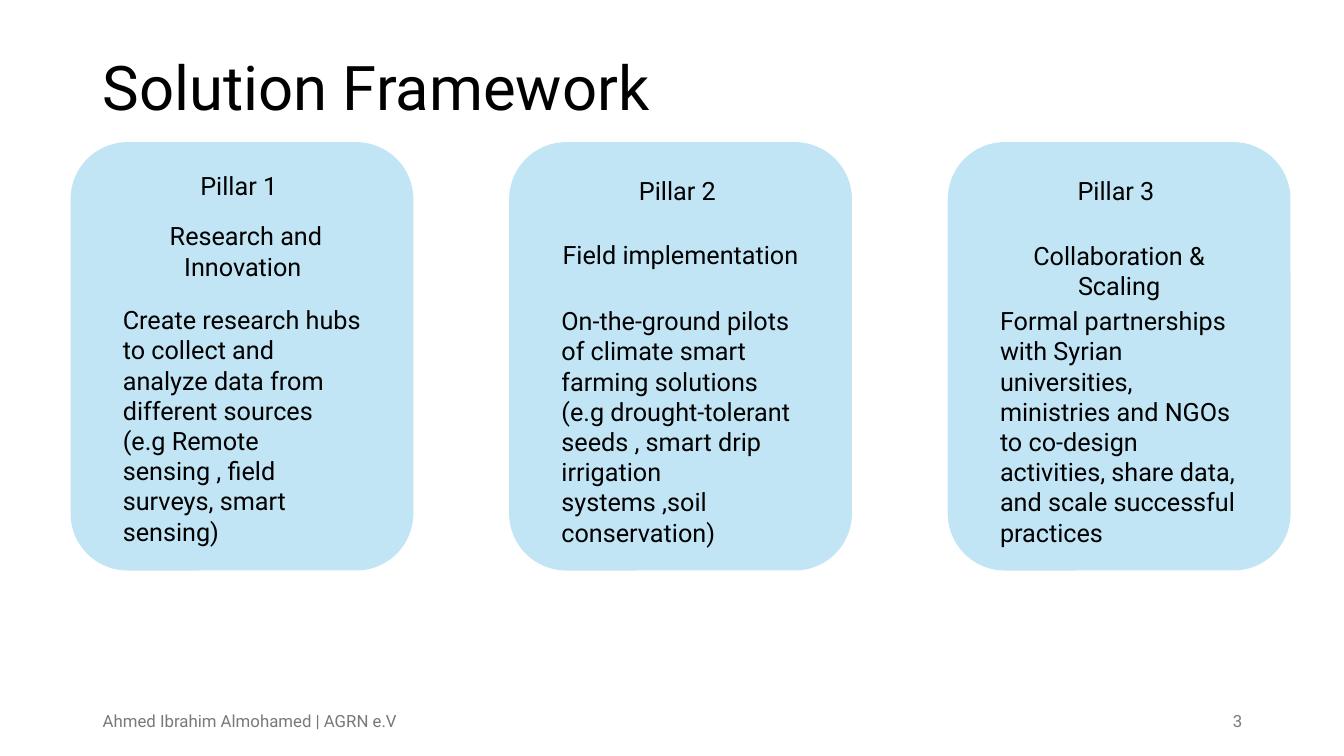
from pptx import Presentation, util as u
from pptx.dml.color import RGBColor
from pptx.enum import shapes, text

# Content: number, heading, description, then the box of each text inside the card
TITLE = "Solution Framework"
FOOTER = "Ahmed Ibrahim Almohamed | AGRN e.V"
PAGE = "3"
PILLARS = [
    {"label": ("Pillar 1 ", (95, 23, 150, 40)),
     "heading": ("Research and Innovation ", (46, 73, 256, 71)),
     "body": ("Create research hubs to collect and analyze data from different "
              "sources (e.g Remote sensing , field surveys, smart sensing)",
              (42, 156, 256, 222))},
    {"label": ("Pillar 2 ", (95, 28, 150, 40)),
     "heading": ("Field implementation", (42, 92, 256, 40)),
     "body": ("On-the-ground pilots of climate smart farming solutions "
              "(e.g drought-tolerant seeds , smart drip irrigation systems "
              ",soil conservation)", (42, 157, 256, 222))},
    {"label": ("Pillar 3 ", (95, 28, 150, 40)),
     "heading": ("Collaboration & Scaling", (42, 92, 256, 71)),
     "body": ("Formal partnerships with Syrian universities, ministries and NGOs "
              "to co-design activities, share data, and scale successful practices",
              (42, 157, 256, 252))},
]
COLORS = {"card": "C1E5F5", "ink": "000000", "muted": "797979"}
FONT = "Roboto"

# Layout, 100 px to the inch
SLIDE_WIDTH, SLIDE_HEIGHT = 1333, 750
CARD_LEFT, CARD_TOP, CARD_WIDTH, CARD_HEIGHT = 70, 141, 340, 425
CARD_STEP = CARD_WIDTH + 95
LEFT, CENTER, RIGHT = text.PP_ALIGN.LEFT, text.PP_ALIGN.CENTER, text.PP_ALIGN.RIGHT
ALIGN = {"label": CENTER, "heading": CENTER, "body": LEFT}


def px(value):
    return u.Emu(value * 9144)


def color(name):
    return RGBColor.from_string(COLORS[name])


def add_text(parent, words, box, size, ink="ink", align=LEFT,
             anchor=text.MSO_ANCHOR.MIDDLE, grow=False, spacing=None):
    frame = parent.add_textbox(*map(px, box)).text_frame
    frame.word_wrap = True
    frame.vertical_anchor = anchor
    if grow:
        frame.auto_size = text.MSO_AUTO_SIZE.SHAPE_TO_FIT_TEXT
    paragraph = frame.paragraphs[0]
    paragraph.alignment = align
    paragraph.line_spacing = spacing
    run = paragraph.add_run()
    run.text = words
    run.font.name = FONT
    run.font.size = u.Pt(size)
    run.font.color.rgb = color(ink)


def add_pillar(slide, left, pillar):
    group = slide.shapes.add_group_shape().shapes
    card = group.add_shape(shapes.MSO_SHAPE.ROUNDED_RECTANGLE, px(left), px(CARD_TOP),
                           px(CARD_WIDTH), px(CARD_HEIGHT))
    card.shadow.inherit = False
    card.fill.solid()
    card.fill.fore_color.rgb = color("card")
    card.line.fill.background()
    for part, (words, (x, y, width, height)) in pillar.items():
        add_text(group, words, (left + x, CARD_TOP + y, width, height), 18,
                 align=ALIGN[part], anchor=text.MSO_ANCHOR.TOP, grow=True)


def main():
    presentation = Presentation()
    presentation.slide_width = px(SLIDE_WIDTH)
    presentation.slide_height = px(SLIDE_HEIGHT)
    slide = presentation.slides.add_slide(presentation.slide_layouts[6])

    # Title and footer
    add_text(slide.shapes, TITLE, (92, 38, 951, 103), 44, spacing=0.9)
    add_text(slide.shapes, FOOTER, (92, 695, 836, 40), 12, "muted")
    add_text(slide.shapes, PAGE, (942, 695, 300, 40), 12, "muted", RIGHT)

    # Pillar cards
    for index, pillar in enumerate(PILLARS):
        add_pillar(slide, CARD_LEFT + index * CARD_STEP, pillar)

    presentation.save("out.pptx")


if __name__ == "__main__":
    main()
